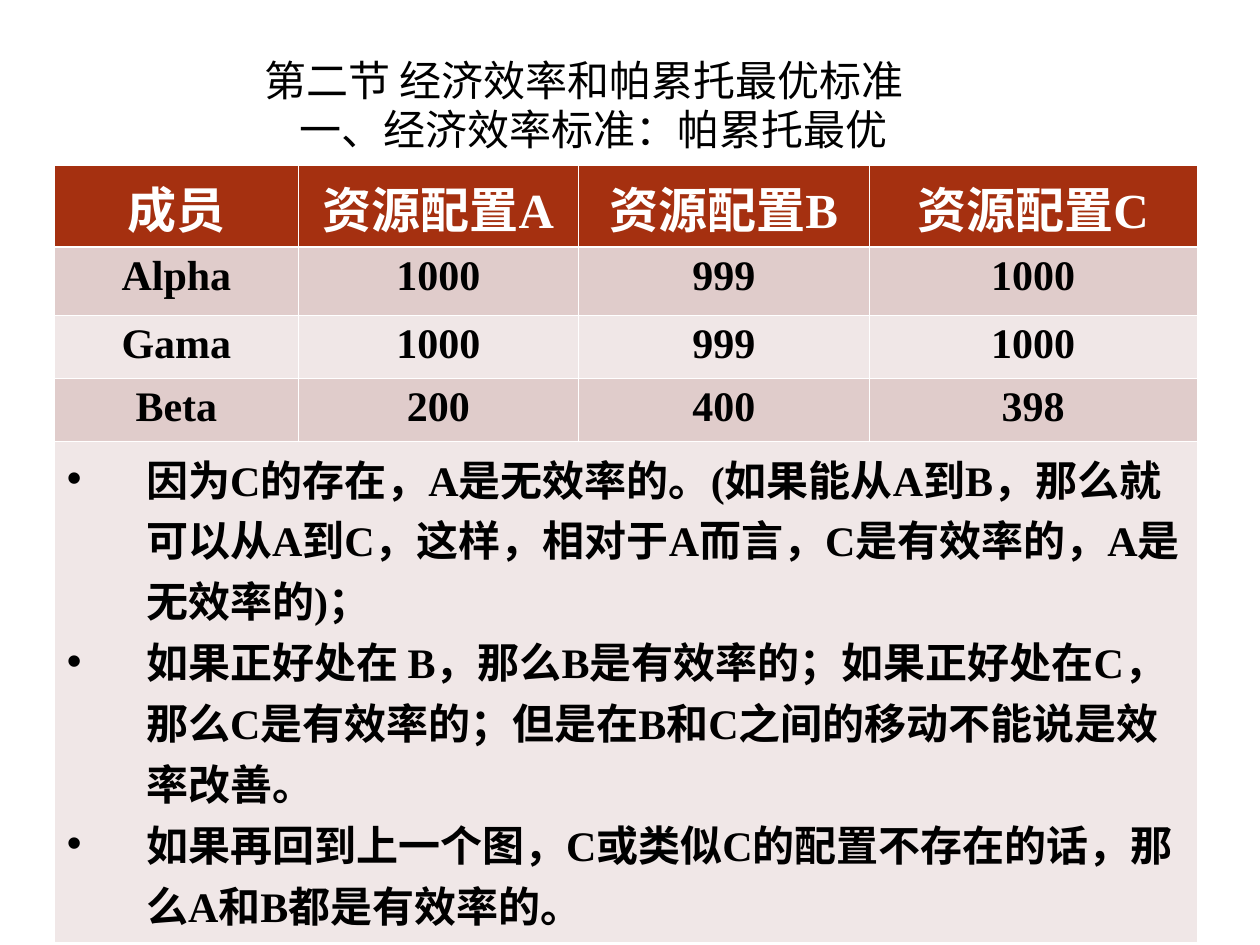
from lxml.etree import SubElement
from pptx import Presentation
from pptx.dml.color import RGBColor
from pptx.enum.text import MSO_ANCHOR, PP_ALIGN
from pptx.oxml.ns import qn
from pptx.util import Inches, Pt

COLORS = {
    "text": "000000",
    "white": "FFFFFF",
    "header": "A53010",
    "dark_band": "E0CCCB",
    "light_band": "F0E7E7",
}
CHINESE_FONT = "Noto Sans CJK SC"
LATIN_FONT = "Times New Roman"

TITLE_LINES = [
    ("第二节 经济效率和帕累托最优标准", 1.5),
    ("一、经济效率标准：帕累托最优", 1.78),
]
COLUMN_WIDTHS = [1.94, 2.22, 2.31, 2.6]
ROW_HEIGHTS = [0.65, 0.54, 0.5, 0.5, 3.98]
ALLOCATIONS = [
    ["成员", "资源配置A", "资源配置B", "资源配置C"],
    ["Alpha", "1000", "999", "1000"],
    ["Gama", "1000", "999", "1000"],
    ["Beta", "200", "400", "398"],
]
CONCLUSIONS = [
    "因为C的存在，A是无效率的。(如果能从A到B，那么就可以从A到C，这样，相对于A而言，"
    "C是有效率的，A是无效率的)；",
    "如果正好处在 B，那么B是有效率的；如果正好处在C，那么C是有效率的；"
    "但是在B和C之间的移动不能说是效率改善。",
    "如果再回到上一个图，C或类似C的配置不存在的话，那么A和B都是有效率的。",
]
HEADER_FORMAT = {"name": LATIN_FONT, "size": Pt(28), "bold": True}
BODY_FORMAT = {"name": LATIN_FONT, "size": Pt(24), "bold": True}
TITLE_FORMAT = {"name": CHINESE_FONT, "size": Pt(24), "bold": False}


def add_span(para, text, font_format, color="text"):
    span = para.add_run()
    span.text = text
    for name, value in font_format.items():
        setattr(span.font, name, value)
    span.font.color.rgb = RGBColor.from_string(COLORS[color])
    SubElement(span.font._element, qn("a:ea"), typeface=CHINESE_FONT)


def next_para(frame, index):
    """Return the paragraph a new box starts with, then added ones."""
    return frame.paragraphs[0] if index == 0 else frame.add_paragraph()


def indent(para, left, first=0):
    properties = para._p.get_or_add_pPr()
    properties.set("marL", str(Inches(left)))
    properties.set("indent", str(Inches(first)))
    return properties


def add_bullet(para):
    properties = indent(para, 0.63, -0.63)
    color = SubElement(properties, qn("a:buClr"))
    SubElement(color, qn("a:srgbClr"), val=COLORS["text"])
    SubElement(properties, qn("a:buFont"), typeface="Arial")
    SubElement(properties, qn("a:buChar"), char="•")


def add_title(page):
    box = page.shapes.add_textbox(Inches(0.5), Inches(0.36), Inches(9), Inches(0.94))
    frame = box.text_frame
    frame.word_wrap = True
    frame.vertical_anchor = MSO_ANCHOR.MIDDLE
    frame.margin_top = Inches(0.08)
    for index, (text, left) in enumerate(TITLE_LINES):
        para = next_para(frame, index)
        indent(para, left)
        para.line_spacing = 0.98
        add_span(para, text, TITLE_FORMAT)


def style_cell(cell, fill, top=0.45, bottom=0.45):
    properties = cell._tc.get_or_add_tcPr()
    widths = {"a:lnL": 0.45, "a:lnR": 0.45, "a:lnT": top, "a:lnB": bottom}
    for tag, width in widths.items():
        line = SubElement(properties, qn(tag), w=str(Pt(width)))
        paint = SubElement(line, qn("a:solidFill"))
        SubElement(paint, qn("a:srgbClr"), val=COLORS["white"])
    cell.fill.solid()
    cell.fill.fore_color.rgb = RGBColor.from_string(COLORS[fill])


def add_allocation_table(page):
    table = page.shapes.add_table(
        len(ROW_HEIGHTS), len(COLUMN_WIDTHS),
        Inches(0.43), Inches(1.31), Inches(sum(COLUMN_WIDTHS)), Inches(sum(ROW_HEIGHTS)),
    ).table
    for column, width in zip(table.columns, COLUMN_WIDTHS):
        column.width = Inches(width)
    for index, (row, height) in enumerate(zip(table.rows, ROW_HEIGHTS)):
        row.height = Inches(height)
        fill = "header" if index == 0 else "dark_band" if index % 2 else "light_band"
        for cell in row.cells:
            style_cell(cell, fill,
                       top=1.47 if index == 1 else 0.45,
                       bottom=1.47 if index == 0 else 0.45)

    for row_index, values in enumerate(ALLOCATIONS):
        is_header = row_index == 0
        for column_index, value in enumerate(values):
            para = table.cell(row_index, column_index).text_frame.paragraphs[0]
            para.alignment = PP_ALIGN.CENTER
            add_span(para, value, HEADER_FORMAT if is_header else BODY_FORMAT,
                     "white" if is_header else "text")

    last_row = len(ROW_HEIGHTS) - 1
    conclusion = table.cell(last_row, 0)
    conclusion.merge(table.cell(last_row, len(COLUMN_WIDTHS) - 1))
    for index, text in enumerate(CONCLUSIONS):
        para = next_para(conclusion.text_frame, index)
        add_bullet(para)
        add_span(para, text, BODY_FORMAT)


def main():
    deck = Presentation()
    deck.slide_width = Inches(10)
    deck.slide_height = Inches(7.5)
    page = deck.slides.add_slide(deck.slide_layouts[6])
    add_title(page)
    add_allocation_table(page)
    deck.save("out.pptx")


if __name__ == "__main__":
    main()
